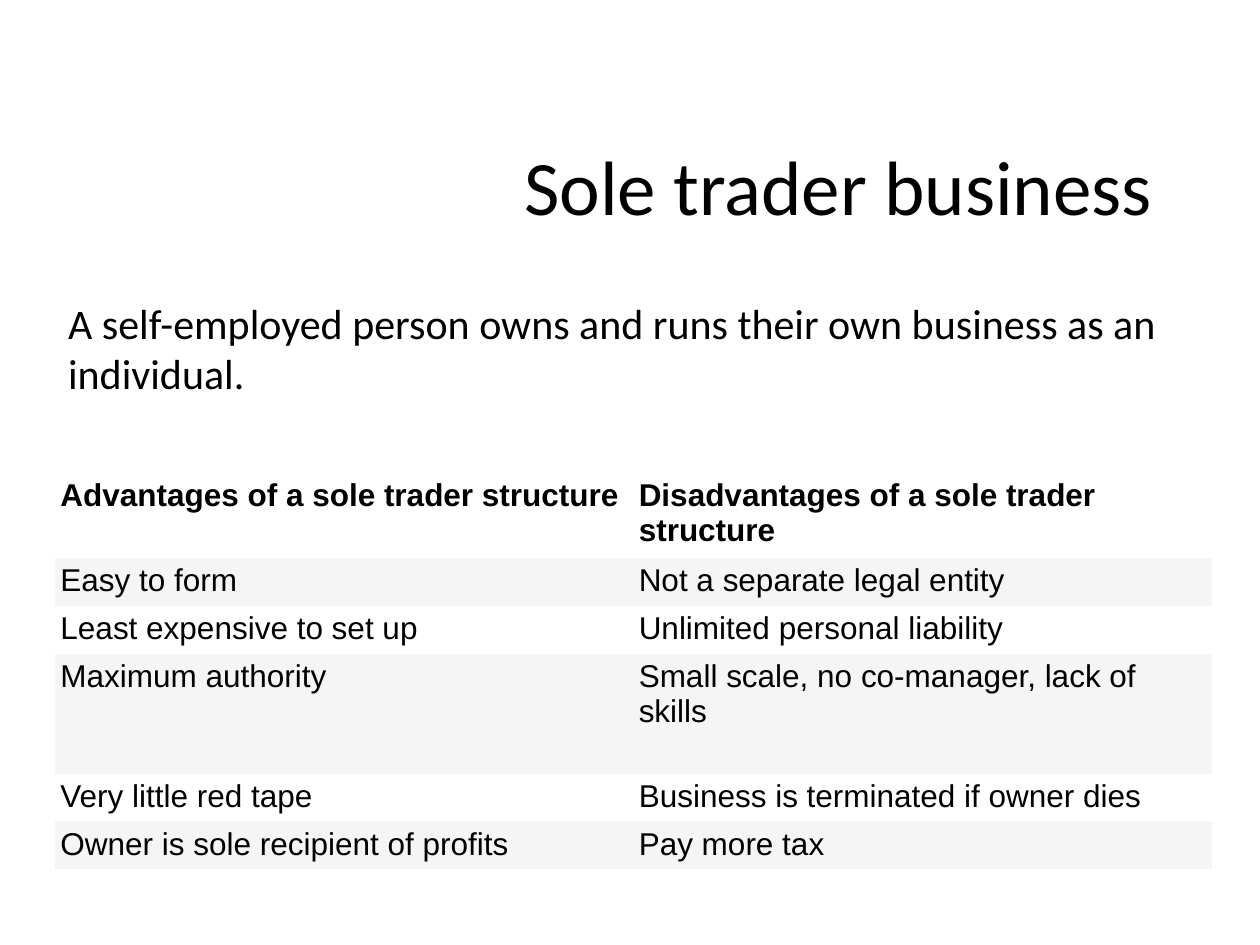
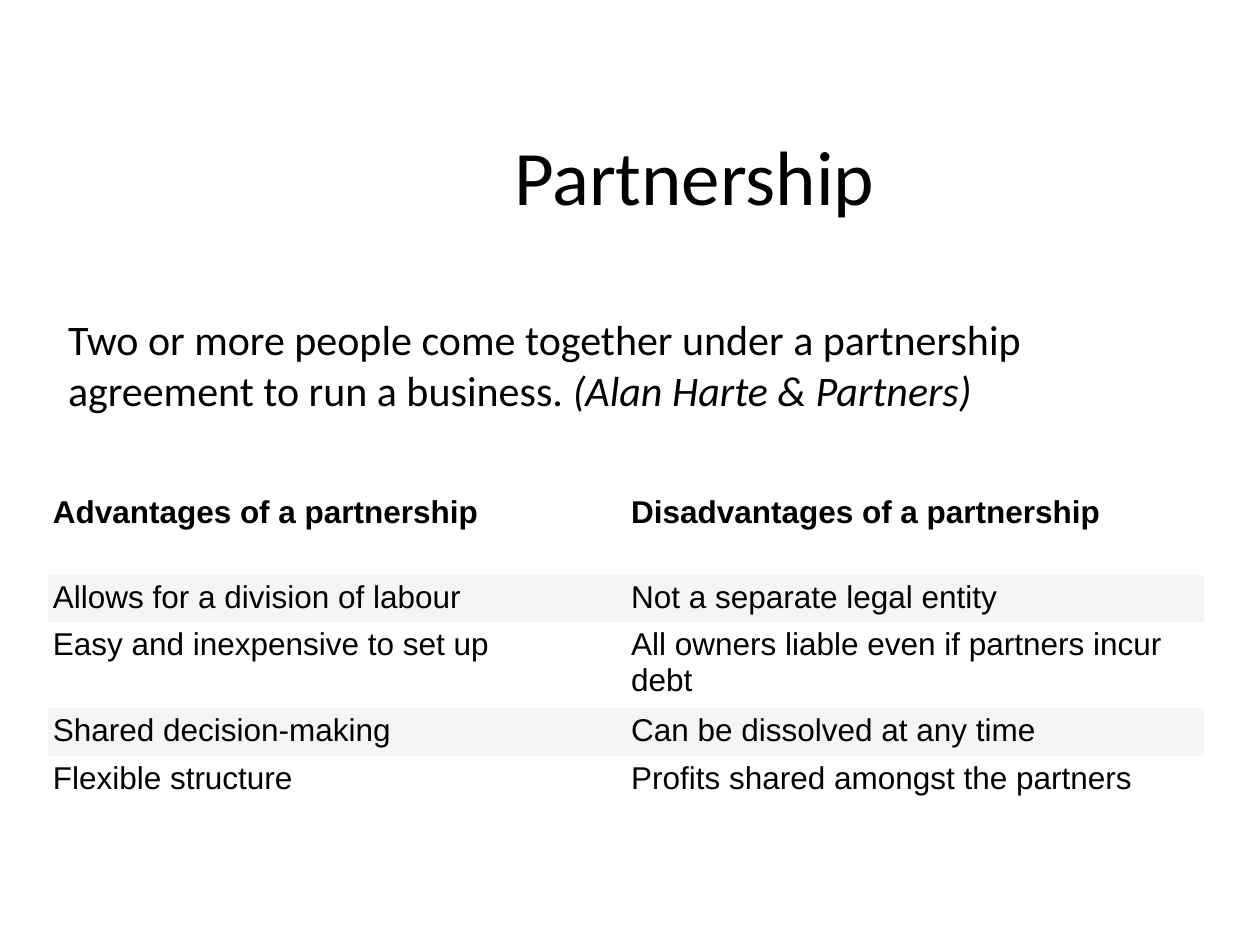
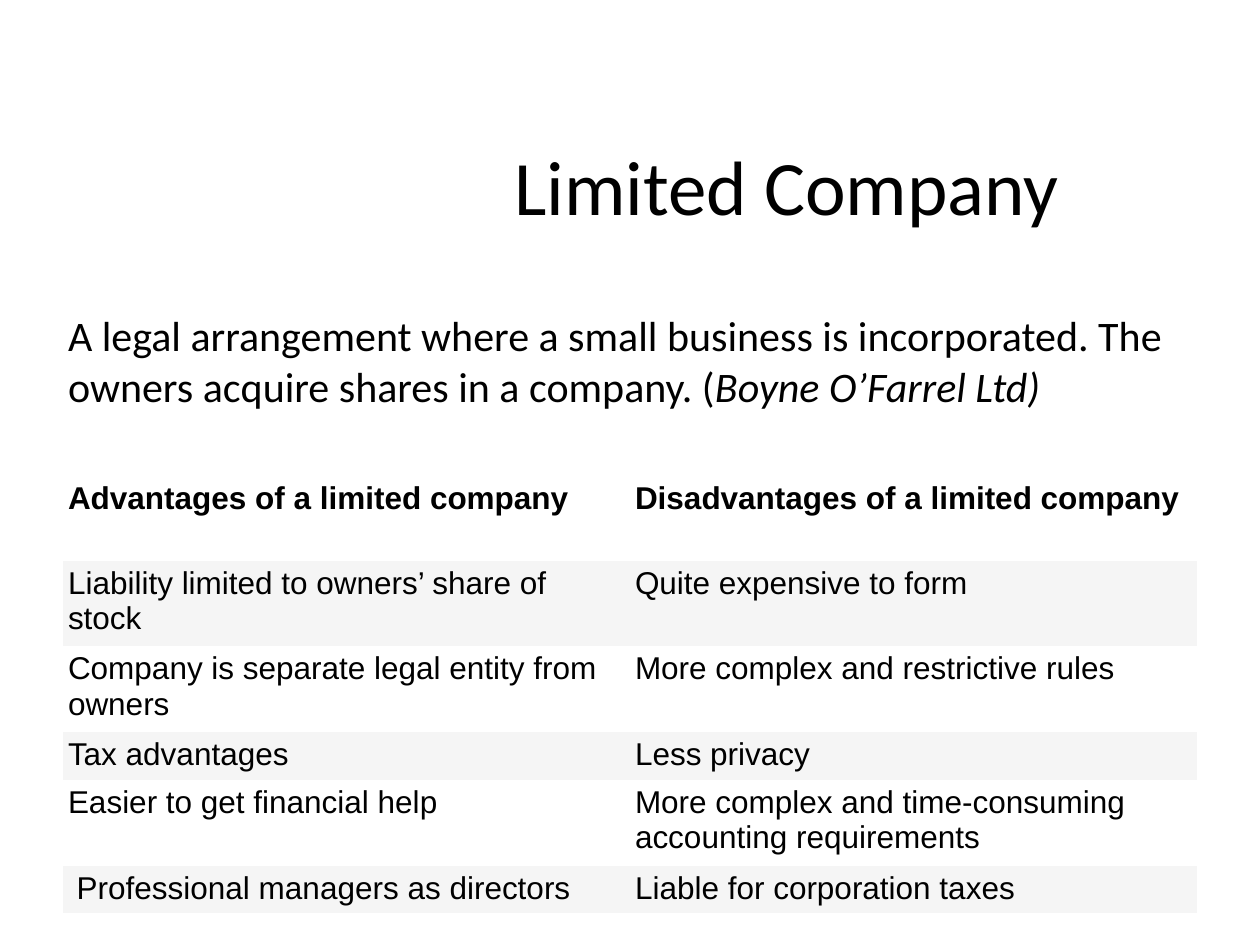
from dataclasses import dataclass

from pptx import Presentation
from pptx.dml.color import RGBColor
from pptx.enum.text import MSO_ANCHOR, PP_ALIGN
from pptx.util import Inches, Pt

LEFT = PP_ALIGN.LEFT
TOP = MSO_ANCHOR.TOP
MIDDLE = MSO_ANCHOR.MIDDLE

WIDTH, HEIGHT = Inches(10), Inches(7.5)
COLS, ROWS = 40, 30
PLAIN_GRID = "{2D5ABB26-0587-4C30-8999-92F81FD0307C}"

# Table row heights, in grid rows
HEAD, ONE, TWO, TALL = 2.68, 1.44, 2.56, 3.8


@dataclass(frozen=True)
class Theme:
    ink: RGBColor = RGBColor(0x00, 0x00, 0x00)
    bands: tuple = (RGBColor(0xFF, 0xFF, 0xFF), RGBColor(0xF5, 0xF5, 0xF5))
    text_font: str = "Calibri"
    cell_font: str = "Arial"
    title_size: int = 44
    body_size: int = 24
    cell_size: int = 18
    cell_pad: float = 0.04
    indent: float = 0.12


def col(n):
    return round(n * WIDTH / COLS)


def row(n):
    return round(n * HEIGHT / ROWS)


class Deck:
    def __init__(self, theme):
        self.theme = theme
        self.prs = Presentation()
        self.prs.slide_width, self.prs.slide_height = WIDTH, HEIGHT
        self.slide = None

    def start(self):
        layout = self.prs.slide_layouts[5]
        self.slide = self.prs.slides.add_slide(layout)

    def style(self, run, font, size, bold=False, italic=False):
        run.font.name = font
        run.font.size = Pt(size)
        run.font.bold = bold
        run.font.italic = italic
        run.font.color.rgb = self.theme.ink

    def title(self, text, x, y, wide):
        box = self.slide.shapes.title
        box.left, box.top = col(x), row(y)
        box.width, box.height = col(wide), row(5)
        frame = box.text_frame
        frame.text = text
        frame.vertical_anchor = MIDDLE
        para = frame.paragraphs[0]
        para.alignment = LEFT
        self.style(para.runs[0], self.theme.text_font, self.theme.title_size)

    def body(self, text, note, y, wide, high):
        """Add the definition, followed by an example in italics."""
        box = self.slide.shapes.add_textbox(
            col(1.28), row(y), col(wide), row(high))
        frame = box.text_frame
        frame.word_wrap = True
        frame.margin_left += Inches(self.theme.indent)
        para = frame.paragraphs[0]
        for part, slant in ((text, False), (note, True)):
            if part:
                run = para.add_run()
                run.text = part
                self.style(run, self.theme.text_font, self.theme.body_size,
                           italic=slant)

    def table(self, lines, x, y, wide):
        """Add a banded table; each line is its height and its cell texts."""
        high = sum(line[0] for line in lines)
        table = self.slide.shapes.add_table(
            len(lines), 2, col(x), row(y), col(wide), row(high)).table
        props = table._tbl.tblPr
        props[0].text = PLAIN_GRID
        table.horz_banding = False
        for i, (tall, *texts) in enumerate(lines):
            table.rows[i].height = row(tall)
            for j, text in enumerate(texts):
                self.cell(table.cell(i, j), text, i)

    def cell(self, cell, text, i):
        pad = Inches(self.theme.cell_pad)
        cell.margin_left = cell.margin_right = pad
        cell.margin_top = cell.margin_bottom = pad
        cell.vertical_anchor = TOP
        cell.fill.solid()
        cell.fill.fore_color.rgb = self.theme.bands[i % 2]
        cell.text_frame.text = text
        run = cell.text_frame.paragraphs[0].runs[0]
        self.style(run, self.theme.cell_font, self.theme.cell_size,
                   bold=i == 0)


SLIDES = [
    dict(
        title=("Sole trader business", 16.24, 3.36, 21.12),
        body=("A self-employed person owns and runs their own business "
              "as an individual.", "", 9.24, 37.16, 6.64),
        table=([
            (HEAD, "Advantages of a sole trader structure",
             "Disadvantages of a sole trader structure"),
            (ONE, "Easy to form", "Not a separate legal entity"),
            (ONE, "Least expensive to set up", "Unlimited personal liability"),
            (TALL, "Maximum authority",
             "Small scale, no co-manager, lack of skills"),
            (ONE, "Very little red tape",
             "Business is terminated if owner dies"),
            (ONE, "Owner is sole recipient of profits", "Pay more tax"),
        ], 1.76, 15, 36.72),
    ),
    dict(
        title=("Partnership", 15.92, 3.04, 16.76),
        body=("Two or more people come together under a partnership "
              "agreement to run a business. ", "(Alan Harte & Partners)",
              9.76, 37.16, 8.52),
        table=([
            (HEAD, "Advantages of a partnership",
             "Disadvantages of a partnership"),
            (ONE, "Allows for a division of labour",
             "Not a separate legal entity"),
            (TWO, "Easy and inexpensive to set up",
             "All owners liable even if partners incur debt"),
            (ONE, "Shared decision-making", "Can be dissolved at any time"),
            (ONE, "Flexible structure", "Profits shared amongst the partners"),
        ], 1.52, 15.56, 36.72),
    ),
    dict(
        title=("Limited Company", 15.92, 3.36, 19.24),
        body=("A legal arrangement where a small business is incorporated. "
              "The owners acquire shares in a company. (",
              "Boyne O’Farrel Ltd)", 9.64, 38.72, 8.52),
        table=([
            (HEAD, "Advantages of a limited company",
             "Disadvantages of a limited company"),
            (TWO, "Liability limited to owners’ share of stock",
             "Quite expensive to form"),
            (TWO, "Company is separate legal entity from owners",
             "More complex and restrictive rules"),
            (ONE, "Tax advantages", "Less privacy"),
            (TWO, "Easier to get financial help",
             "More complex and time-consuming accounting requirements"),
            (ONE, " Professional managers as directors",
             "Liable for corporation taxes"),
        ], 2, 15.12, 36),
    ),
]


def main():
    deck = Deck(Theme())
    for page in SLIDES:
        deck.start()
        deck.body(*page["body"])
        deck.title(*page["title"])
        deck.table(*page["table"])
    deck.prs.save("out.pptx")


if __name__ == "__main__":
    main()
